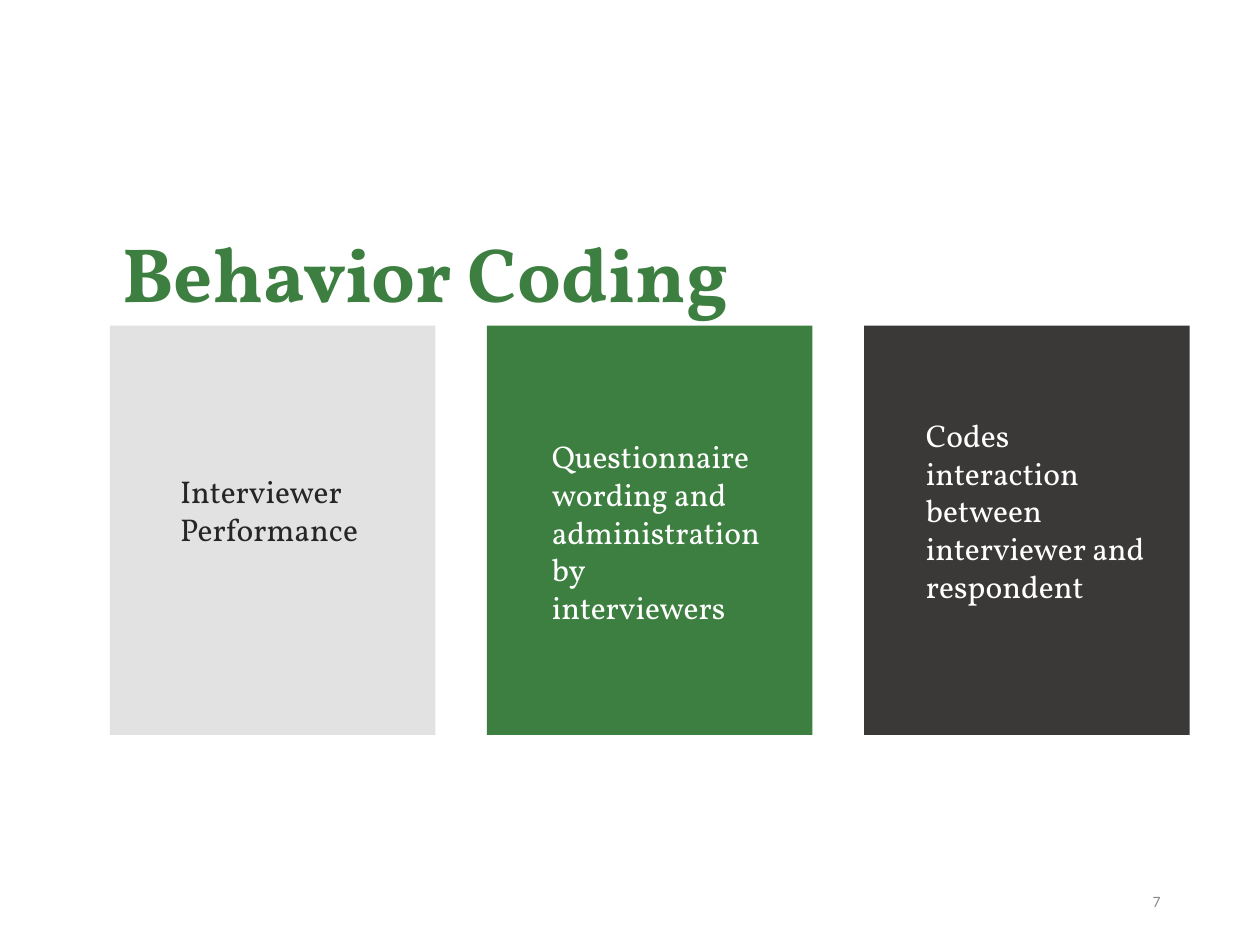
from lxml.etree import SubElement
from pptx import Presentation
from pptx.dml.color import RGBColor
from pptx.enum.shapes import MSO_SHAPE as SHAPE
from pptx.enum.text import MSO_ANCHOR as ANCHOR, MSO_AUTO_SIZE as AUTO, PP_ALIGN as ALIGN
from pptx.oxml.ns import qn
from pptx.util import Pt

GREEN = RGBColor(0x3D, 0x7F, 0x40)
LIGHT = RGBColor(0xD9, 0xD9, 0xD9)
DARK = RGBColor(0x3B, 0x38, 0x38)
INK = RGBColor(0x26, 0x26, 0x26)
GRAY = RGBColor(0x8C, 0x8C, 0x8C)
WHITE = RGBColor(0xFF, 0xFF, 0xFF)

TITLE = "Behavior Coding"
PAGE = "7"
CARDS = [
    ("Interviewer Performance", LIGHT, 76, INK, (95.8, 266.4, 138.2, 72.7)),
    ("Questionnaire wording and administration by interviewers", GREEN, 100, WHITE,
     (308.2, 246.2, 135.4, 94.3)),
    ("Codes interaction between interviewer and respondent", DARK, 100, WHITE,
     (522, 234, 149.8, 116.6)),
]
LEFT, TOP, WIDTH, HEIGHT, PITCH = 62.8, 186, 186, 234, 215.5


def write(sp, text, size, color, name="Vollkorn", bold=False,
          align=ALIGN.LEFT, anchor=ANCHOR.TOP):
    tf = sp.text_frame
    tf.text = text
    frame = {"word_wrap": True, "auto_size": AUTO.NONE, "vertical_anchor": anchor}
    for key, value in frame.items():
        setattr(tf, key, value)
    p = tf.paragraphs[0]
    p.alignment = align
    font = p.runs[0].font
    for key, value in {"name": name, "size": Pt(size), "bold": bold}.items():
        setattr(font, key, value)
    font.color.rgb = color


def place(sp, box):
    for key, value in zip(("left", "top", "width", "height"), box):
        setattr(sp, key, Pt(value))


def add_text(slide, box, *args, **fmt):
    write(slide.shapes.add_textbox(*map(Pt, box)), *args, **fmt)


def add_card(slide, box, color, opacity):
    sp = slide.shapes.add_shape(SHAPE.RECTANGLE, *map(Pt, box))
    sp.shadow.inherit = False
    sp.line.fill.background()
    sp.fill.solid()
    sp.fill.fore_color.rgb = color
    if opacity < 100:
        clr = sp.fill._xPr.find(qn("a:solidFill"))[0]
        SubElement(clr, qn("a:alpha"), val=str(opacity * 1000))


def main():
    prs = Presentation()
    prs.slide_width, prs.slide_height = Pt(720), Pt(540)
    s = prs.slides.add_slide(prs.slide_layouts[5])
    place(s.shapes.title, (62.6, 125.3, 399, 60.5))
    write(s.shapes.title, TITLE, 44, GREEN, bold=True)
    for i, (_, fill, opacity, _, _) in enumerate(CARDS):
        add_card(s, (LEFT + i * PITCH, TOP, WIDTH, HEIGHT), fill, opacity)
    for text, _, _, color, box in CARDS:
        add_text(s, box, text, 18, color)
    add_text(s, (508.3, 500.4, 162, 28.8), PAGE, 9, GRAY, name="Calibri",
             align=ALIGN.RIGHT, anchor=ANCHOR.MIDDLE)
    prs.save("out.pptx")


if __name__ == "__main__":
    main()
